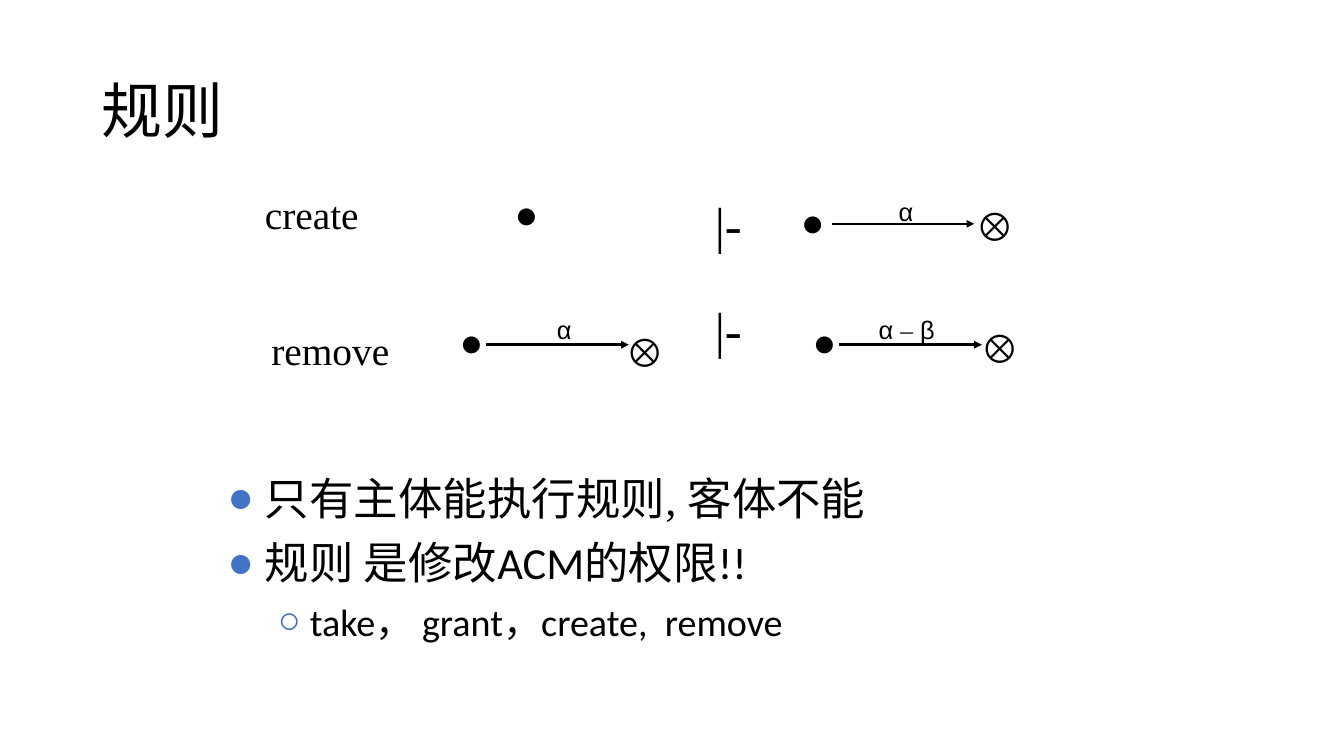
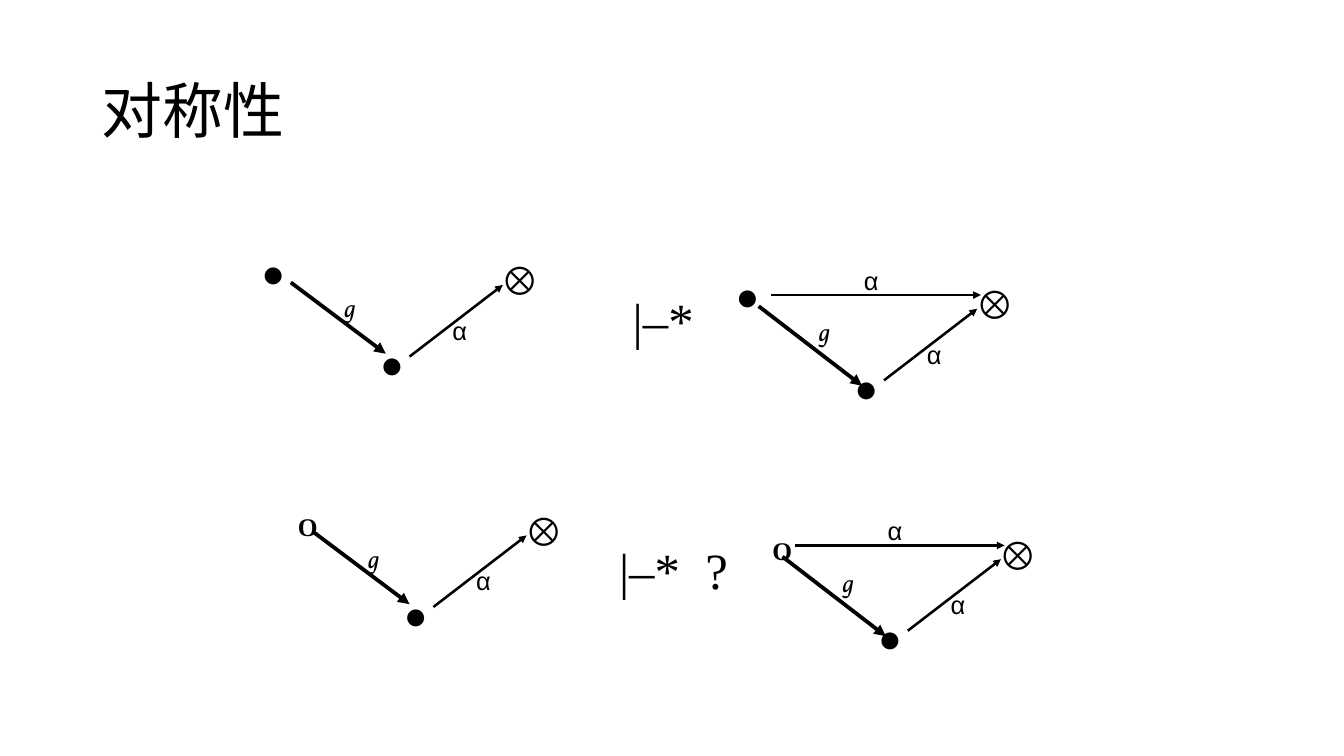
import dataclasses

import pptx
import pptx.dml.color
import pptx.enum.shapes
import pptx.enum.text
import pptx.oxml
import pptx.oxml.ns
import pptx.util
from pptx.util import Cm

BLACK = "000000"
BULLET_BLUE = "4472C4"
SERIF, SANS, BODY = "Times New Roman", "Arial", "Calibri"


@dataclasses.dataclass
class Style:
    """Look of one kind of text box; lengths in centimetres."""
    font: str
    size: float
    width: float
    height: float
    line_spacing: float = 1
    bold: bool = False
    italic: bool = False
    inset: tuple = (0.2, 0.08)
    wrap: bool = False


TITLE = Style(BODY, 48, 32.21, 4.06, 0.9, inset=(0.25, 0.13), wrap=True)
BULLETS = Style(BODY, 35, 25.2, 6.25, inset=(0.25, 0.13), wrap=True)
RULE_NAME = Style(SERIF, 31, 4.3, 1.3, 0.87, wrap=True)
SUBJECT = Style(SANS, 31, 1.47, 1.27, 0.85, bold=True)
OBJECT = Style(SANS, 31, 1.27, 1.63, 1.11, bold=True)
LABEL = Style(SANS, 20, 0.84, 1.09, 1.11)
WIDE_LABEL = dataclasses.replace(LABEL, width=2.29)
GRANT_LABEL = Style("Vollkorn", 20, 0.8, 0.89, 0.85, italic=True)
UNKNOWN = Style(SERIF, 20, 0.94, 1.09, 1.11, bold=True)
TURNSTILE = Style(SERIF, 40, 1.32, 1.98, inset=(0.28, 0.15))
STAR_TURNSTILE = dataclasses.replace(TURNSTILE, width=2.26)
QUERY_TURNSTILE = dataclasses.replace(TURNSTILE, width=4.2, wrap=True)

# Texts: (style, left, top, runs); a run is a string or (string, font)
RULE_TEXTS = [
    (RULE_NAME, 7.16, 5.38, ["create"]),
    (SUBJECT, 14.1, 5.38, ["●"]),
    (TURNSTILE, 19.58, 5.21, ["|-"]),
    (SUBJECT, 22.05, 5.61, ["●"]),
    (LABEL, 24.77, 5.28, ["α"]),
    (OBJECT, 26.9, 5.38, ["⊗"]),
    (RULE_NAME, 7.34, 9.17, ["remove"]),
    (SUBJECT, 12.57, 8.94, ["●"]),
    (LABEL, 15.27, 8.56, ["α"]),
    (OBJECT, 17.17, 8.86, ["⊗"]),
    (TURNSTILE, 19.58, 8.13, ["|-"]),
    (SUBJECT, 22.38, 8.94, ["●"]),
    (WIDE_LABEL, 24.21, 8.56, ["α ", ("–", SERIF), " β"]),
    (OBJECT, 27.03, 8.76, ["⊗"]),
]
RULE_ARROW_LENGTH = 3.96
RULE_ARROWS = [(23.11, 6.22), (13.51, 9.58), (23.32, 9.58)]

# Bullets: (level, runs)
RULE_BULLETS = [
    (0, ["只有主体能执行", ("规则, ", SERIF), "客体不能"]),
    (0, ["规则 是修改ACM的权限!!"]),
    (1, ["take， grant，create,  remove"]),
]
# Per level: bullet, left margin, hanging indent, space before, size
BULLET_LEVELS = [("●", 1.04, 1.04, 8.8, 35), ("○", 2.29, 0.89, 7.5, 30)]

# Parts of a triangle graph, measured from its top left corner
GRAPH_TEXTS = [
    (GRANT_LABEL, 2.31, 1.17, ["g"]),
    (LABEL, 5.31, 1.57, ["α"]),
    (OBJECT, 6.65, -0.13, ["⊗"]),
    (SUBJECT, 3.3, 2.54, ["●"]),
]
SUBJECT_CORNER = (SUBJECT, 0, 0, ["●"])
UNKNOWN_CORNER = (UNKNOWN, 0.36, 0.06, ["О"])
GRAPH_RIGHT_ARROW = (4.32, 2.9, 6.91, 0.91, 2)
BEFORE_ARROWS = [(1.02, 0.84, 3.66, 2.82, 3)]
AFTER_ARROWS = [(0.84, 0.84, 3.71, 3.05, 3), (1.19, 0.53, 7.01, 0.53, 2)]
AFTER_LABEL = (LABEL, 3.56, -0.48, ["α"])

GRAPH_ORIGIN = (7.06, 7.01)
AFTER_SHIFT = (13.18, 0.66)
ROW_SHIFT = (0.66, 6.96)
GRAPH_ROWS = [
    (SUBJECT_CORNER, (STAR_TURNSTILE, 17.3, 7.87, ["|–*"])),
    (UNKNOWN_CORNER, (QUERY_TURNSTILE, 16.92, 14.83, ["|–*  ?"])),
]


def color(value):
    return pptx.dml.color.RGBColor.from_string(value)


def append_xml(parent, tag, **attributes):
    child = pptx.oxml.parse_xml(f"<a:{tag} {pptx.oxml.ns.nsdecls('a')}/>")
    for name, value in attributes.items():
        child.set(name, value)
    parent.append(child)
    return child


def add_runs(paragraph, runs, style, size=None):
    for item in runs:
        text, font_name = item if isinstance(item, tuple) else (item, style.font)
        run = paragraph.add_run()
        run.text = text
        run.font.name = font_name
        run.font.size = pptx.util.Pt(size or style.size)
        run.font.bold = style.bold
        run.font.italic = style.italic
        run.font.color.rgb = color(BLACK)


def add_frame(slide, style, left, top):
    """Add an empty text box and return its text frame."""
    box = slide.shapes.add_textbox(Cm(left), Cm(top), Cm(style.width), Cm(style.height))
    frame = box.text_frame
    frame.word_wrap = style.wrap
    if not style.wrap:
        frame.auto_size = pptx.enum.text.MSO_AUTO_SIZE.SHAPE_TO_FIT_TEXT
    horizontal, vertical = style.inset
    frame.margin_left = frame.margin_right = Cm(horizontal)
    frame.margin_top = frame.margin_bottom = Cm(vertical)
    return frame


def add_text(slide, style, left, top, runs):
    frame = add_frame(slide, style, left, top)
    paragraph = frame.paragraphs[0]
    paragraph.line_spacing = style.line_spacing
    add_runs(paragraph, runs, style)
    return frame


def add_arrow(slide, x1, y1, x2, y2, weight):
    arrow = slide.shapes.add_connector(
        pptx.enum.shapes.MSO_CONNECTOR.STRAIGHT, Cm(x1), Cm(y1), Cm(x2), Cm(y2))
    arrow.line.color.rgb = color(BLACK)
    arrow.line.width = pptx.util.Pt(weight)
    append_xml(arrow.line._get_or_add_ln(), "tailEnd", type="triangle")
    append_xml(arrow._element.spPr, "effectLst")


def add_bullets(slide, left, top, bullets):
    frame = add_frame(slide, BULLETS, left, top)
    for index, (level, runs) in enumerate(bullets):
        symbol, margin, hanging, space, size = BULLET_LEVELS[level]
        paragraph = frame.add_paragraph() if index else frame.paragraphs[0]
        paragraph.level = level
        if index:
            paragraph.space_before = pptx.util.Pt(space)
        properties = paragraph._p.get_or_add_pPr()
        properties.set("marL", str(Cm(margin)))
        properties.set("indent", str(-Cm(hanging)))
        append_xml(append_xml(properties, "buClr"), "srgbClr", val=BULLET_BLUE)
        append_xml(properties, "buFont", typeface=SANS)
        append_xml(properties, "buChar", char=symbol)
        add_runs(paragraph, runs, BULLETS, size)


def add_graph(slide, x, y, texts, arrows):
    for x1, y1, x2, y2, weight in arrows:
        add_arrow(slide, x + x1, y + y1, x + x2, y + y2, weight)
    for style, left, top, runs in texts:
        add_text(slide, style, x + left, y + top, runs)


def add_titled_slide(presentation, title):
    slide = presentation.slides.add_slide(presentation.slide_layouts[6])
    frame = add_text(slide, TITLE, 2.57, 1.12, [title])
    frame.vertical_anchor = pptx.enum.text.MSO_ANCHOR.MIDDLE
    return slide


def add_rules_slide(presentation):
    slide = add_titled_slide(presentation, "规则")
    for x, y in RULE_ARROWS:
        add_arrow(slide, x, y, x + RULE_ARROW_LENGTH, y, 2)
    for text in RULE_TEXTS:
        add_text(slide, *text)
    add_bullets(slide, 6.07, 12.95, RULE_BULLETS)


def add_symmetry_slide(presentation):
    slide = add_titled_slide(presentation, "对称性")
    for row, (corner, turnstile) in enumerate(GRAPH_ROWS):
        x, y = (start + row * step for start, step in zip(GRAPH_ORIGIN, ROW_SHIFT))
        texts = [corner] + GRAPH_TEXTS
        add_graph(slide, x, y, texts, BEFORE_ARROWS + [GRAPH_RIGHT_ARROW])
        add_text(slide, *turnstile)
        add_graph(slide, x + AFTER_SHIFT[0], y + AFTER_SHIFT[1],
                  texts + [AFTER_LABEL], AFTER_ARROWS + [GRAPH_RIGHT_ARROW])


def main():
    presentation = pptx.Presentation()
    presentation.slide_width = Cm(37.34)
    presentation.slide_height = Cm(21.01)
    add_rules_slide(presentation)
    add_symmetry_slide(presentation)
    presentation.save("out.pptx")


if __name__ == "__main__":
    main()
